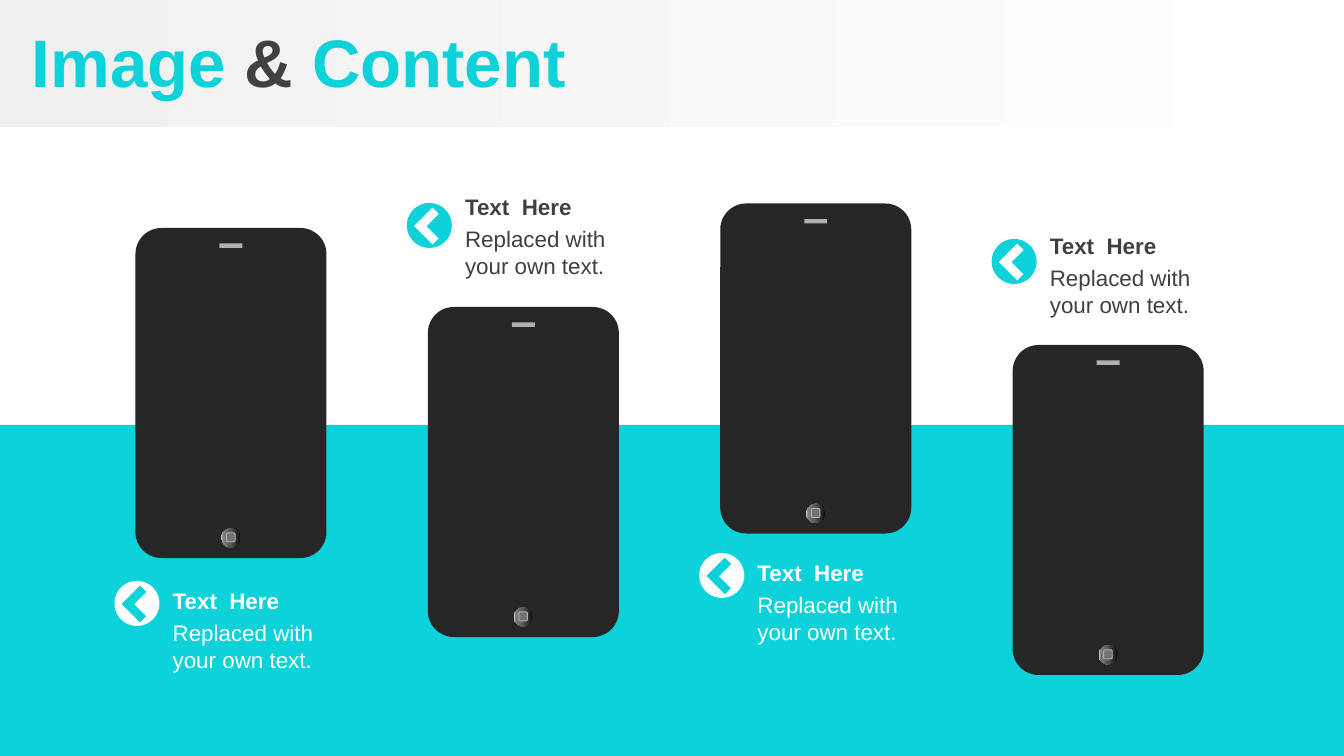
from lxml.etree import SubElement
from pptx import Presentation
from pptx.dml.color import RGBColor
from pptx.enum.shapes import MSO_SHAPE
from pptx.enum.text import MSO_ANCHOR
from pptx.oxml.ns import qn
from pptx.util import Pt

SCALE = 914400 / 134.4
COLORS = {
    "cyan": "0DD2D9", "white": "FFFFFF", "text": "404040", "mist": "F0F0F0",
    "body": "262626", "speaker": "B0B0B0", "key": "737373",
    "black": "0F0F0F", "dark": "595959", "middle": "808080", "light": "BFBFBF",
}
BUTTON_STOPS = [(0, "black"), (56, "dark"), (91, "middle"), (100, "light")]
BAND_STOPS = [(0, "mist"), (100, "white")]
FIRST_PHONE, PHONE_STEP = 135.5, 292.4


def px(value):
    """Turn pixels into EMU."""
    return round(value * SCALE)


def rgb(name):
    """Look up a named colour."""
    return RGBColor.from_string(COLORS[name])


class Deck:
    """Hold the style and the current slide."""

    font = {"name": "Arial"}
    frame = {"word_wrap": True, "vertical_anchor": MSO_ANCHOR.TOP}

    def __init__(self, width, height):
        """Start a presentation with one blank slide."""
        self.presentation = Presentation()
        self.presentation.slide_width = px(width)
        self.presentation.slide_height = px(height)
        self.slide = self.presentation.slides.add_slide(self.presentation.slide_layouts[6])

    def shape(self, kind, box, fill=None, line=None, adjustments=(), rotation=0):
        """Add a preset shape."""
        shape = self.slide.shapes.add_shape(kind, *map(px, box))
        shape.shadow.inherit = False
        shape.rotation = rotation
        for index, value in enumerate(adjustments):
            shape.adjustments[index] = value
        if fill:
            shape.fill.solid()
            shape.fill.fore_color.rgb = rgb(fill)
        if line:
            shape.line.color.rgb = rgb(line)
            shape.line.width = Pt(0.5)
        else:
            shape.line.fill.background()
        return shape

    def gradient(self, kind, box, stops, angle):
        """Add a shape with a linear gradient."""
        shape = self.shape(kind, box)
        shape.fill.gradient()
        shape.fill.gradient_angle = angle
        stop_list = shape.element.spPr.find(".//" + qn("a:gsLst"))
        for old_stop in list(stop_list):
            stop_list.remove(old_stop)
        for position, color in stops:
            stop = SubElement(stop_list, qn("a:gs"), pos=str(position * 1000))
            SubElement(stop, qn("a:srgbClr"), val=COLORS[color])

    def text(self, box, runs, size, bold=False, **frame):
        """Add a text box of one paragraph made of coloured runs."""
        text_frame = self.slide.shapes.add_textbox(*map(px, box)).text_frame
        for name, value in {**self.frame, **frame}.items():
            setattr(text_frame, name, value)
        for words, color in runs:
            run = text_frame.paragraphs[0].add_run()
            run.text = words
            run.font.color.rgb = rgb(color)
            for name, value in {**self.font, "size": Pt(size), "bold": bold}.items():
                setattr(run.font, name, value)

    def phone(self, left, top):
        """Add a phone with its speaker and home button."""
        self.shape(MSO_SHAPE.ROUNDED_RECTANGLE, (left, top, 191, 330), "body",
                   adjustments=[0.136])
        self.shape(MSO_SHAPE.RECTANGLE, (left + 84, top + 15.5, 23, 4.5), "speaker")
        self.gradient(MSO_SHAPE.OVAL, (left + 86, top + 300, 19, 20), BUTTON_STOPS, 180)
        self.shape(MSO_SHAPE.ROUNDED_RECTANGLE, (left + 91, top + 305, 8.5, 9),
                   "key", "speaker")

    def caption(self, left, top, color):
        """Add a heading with a line of text below it."""
        self.text((left, top, 180, 40), [("Text  Here", color)], 12, True)
        self.text((left, top + 32, 180, 67), [("Replaced with your own text.", color)], 12)

    def badge(self, left, top, disc, arrow):
        """Add a round badge with a chevron."""
        self.shape(MSO_SHAPE.OVAL, (left, top, 45, 45), disc)
        self.shape(MSO_SHAPE.CORNER, (left + 12.5, top + 10, 26, 26), arrow,
                   adjustments=[0.33, 0.347], rotation=45)


deck = Deck(1344, 756)
deck.shape(MSO_SHAPE.RECTANGLE, (0, 425, 1344, 331), "cyan")
deck.gradient(MSO_SHAPE.RECTANGLE, (0, 0, 1339, 127), BAND_STOPS, 0)
deck.text((0, 4, 1344, 114), [("Image", "cyan"), (" & ", "text"), ("Content", "cyan")],
          36, True, vertical_anchor=MSO_ANCHOR.MIDDLE, margin_left=px(32))

columns = [
    (228, 581, 581, ("white", "white", "cyan")),
    (307, 187, 203, ("text", "cyan", "white")),
    (203.5, 553, 553, ("white", "white", "cyan")),
    (345, 226, 239, ("text", "cyan", "white")),
]
for index, (phone_top, caption_top, badge_top, colors) in enumerate(columns):
    left = FIRST_PHONE + index * PHONE_STEP
    text_color, disc, arrow = colors
    deck.phone(left, phone_top)
    deck.caption(left + 24, caption_top, text_color)
    deck.badge(left - 21, badge_top, disc, arrow)

deck.presentation.save("out.pptx")
